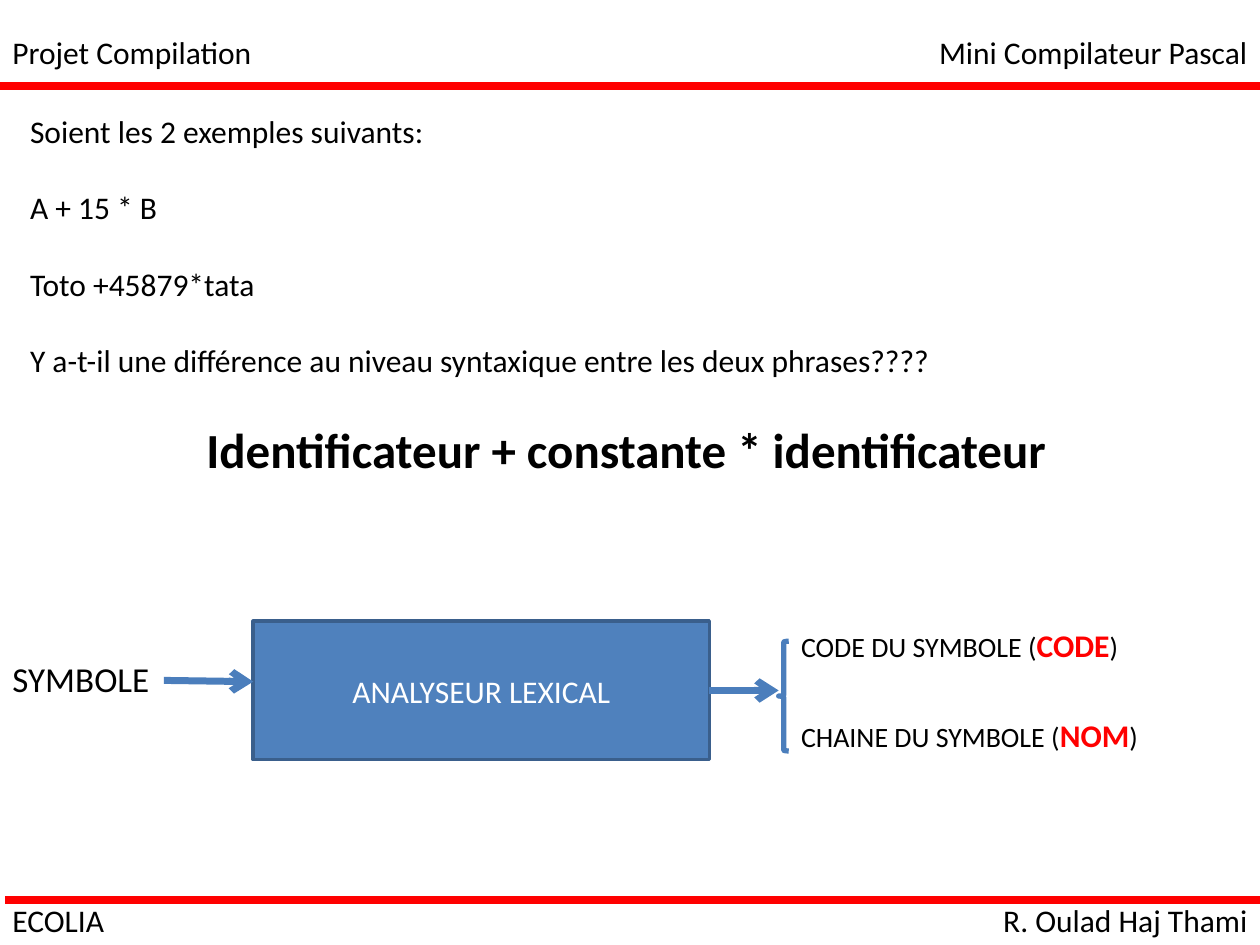
from lxml import etree
from pptx import Presentation
from pptx import util as u
from pptx.dml.color import RGBColor
from pptx.enum import shapes, text
from pptx.oxml.ns import qn

BLACK = RGBColor(0, 0, 0)
WHITE = RGBColor(255, 255, 255)
RED = RGBColor(255, 0, 0)
BLUE = RGBColor(0x4F, 0x81, 0xBD)
BORDER = RGBColor(0x3A, 0x5F, 0x8C)
ARROW = RGBColor(0x4B, 0x7E, 0xBC)
LEFT, CENTER, RIGHT = text.PP_ALIGN.LEFT, text.PP_ALIGN.CENTER, text.PP_ALIGN.RIGHT

presentation = Presentation()
presentation.slide_width, presentation.slide_height = u.Inches(10), u.Inches(7.5)
slide = presentation.slides.add_slide(presentation.slide_layouts[5])
CELL = presentation.slide_width / 100


def grid(*cells):
    return [round(cell * CELL) for cell in cells]


def write(shape, lines, size, color=BLACK, bold=False, align=LEFT, gap=0, wrap=False):
    frame = shape.text_frame
    frame.word_wrap = wrap
    frame.auto_size = text.MSO_AUTO_SIZE.NONE
    frame.text = "\n".join(lines)
    for paragraph in frame.paragraphs:
        paragraph.alignment = align
        paragraph.space_after = u.Pt(gap)
        paragraph.font.name = "Calibri"
        paragraph.font.size = u.Pt(size)
        paragraph.font.bold = bold
        paragraph.font.color.rgb = color
    return frame


title = slide.shapes.title
title.left, title.top, title.width, title.height = grid(60, 2.1, 40, 4)
write(title, ["Mini Compilateur Pascal"], 18, align=RIGHT, wrap=True)
title.text_frame.vertical_anchor = text.MSO_ANCHOR.TOP

questions = [
    "Soient les 2 exemples suivants:",
    "A + 15 * B",
    "Toto +45879*tata",
    "Y a-t-il une différence au niveau syntaxique entre les deux phrases????",
]
labels = [
    ((0, 2.1, 21.2, 4), ["Projet Compilation"], 18, False, LEFT, 0),
    ((0, 71, 9.3, 4), ["ECOLIA"], 18, False, LEFT, 0),
    ((78.4, 71, 21.6, 4), ["R. Oulad Haj Thami"], 18, False, RIGHT, 0),
    ((1.4, 8.4, 74.4, 34.3), questions, 18, False, LEFT, 22),
    ((15.4, 32.8, 69.6, 5.7), ["Identificateur + constante * identificateur"], 28, True, LEFT, 0),
    ((0, 51.7, 15.5, 4.4), ["SYMBOLE"], 20, False, LEFT, 0),
]
for place, lines, size, bold, align, gap in labels:
    write(slide.shapes.add_textbox(*grid(*place)), lines, size, bold=bold, align=align, gap=gap)

analyser = slide.shapes.add_shape(shapes.MSO_SHAPE.RECTANGLE, *grid(20.1, 49.3, 36.2, 11))
analyser.shadow.inherit = False
analyser.fill.solid()
analyser.fill.fore_color.rgb = BLUE
analyser.line.color.rgb = BORDER
analyser.line.width = u.Pt(2)
write(analyser, ["ANALYSEUR LEXICAL"], 18, WHITE, align=CENTER, wrap=True)
analyser.text_frame.vertical_anchor = text.MSO_ANCHOR.MIDDLE

brace = slide.shapes.add_shape(shapes.MSO_SHAPE.LEFT_BRACE, *grid(61.8, 50.9, 0.8, 8.7))
brace.shadow.inherit = False
brace.fill.background()
brace.line.color.rgb = ARROW
brace.line.width = u.Pt(3)

for row, (caption, field) in enumerate([("CODE", "CODE"), ("CHAINE", "NOM")]):
    output = slide.shapes.add_textbox(*grid(62.6, 49.2 + 7.1 * row, 29.6, 4))
    paragraph = write(output, [caption + " DU SYMBOLE ("], 16).paragraphs[0]
    name = paragraph.add_run()
    name.text = field
    name.font.size, name.font.bold, name.font.color.rgb = u.Pt(18), True, RED
    paragraph.add_run().text = ")"

lines = [
    ((0, 6.8, 100, 6.8), RED, 4.5, False),
    ((0.4, 71.4, 100.4, 71.4), RED, 4.5, False),
    ((13, 54, 20.1, 54.1), ARROW, 4, True),
    ((56.3, 54.8, 61.8, 54.8), ARROW, 4, True),
]
for ends, color, width, arrow in lines:
    connector = slide.shapes.add_connector(shapes.MSO_CONNECTOR.STRAIGHT, *grid(*ends))
    connector.line.color.rgb = color
    connector.line.width = u.Pt(width)
    if arrow:
        etree.SubElement(connector.line._get_or_add_ln(), qn("a:tailEnd"), type="arrow")
    etree.SubElement(connector._element.spPr, qn("a:effectLst"))

presentation.save("out.pptx")
